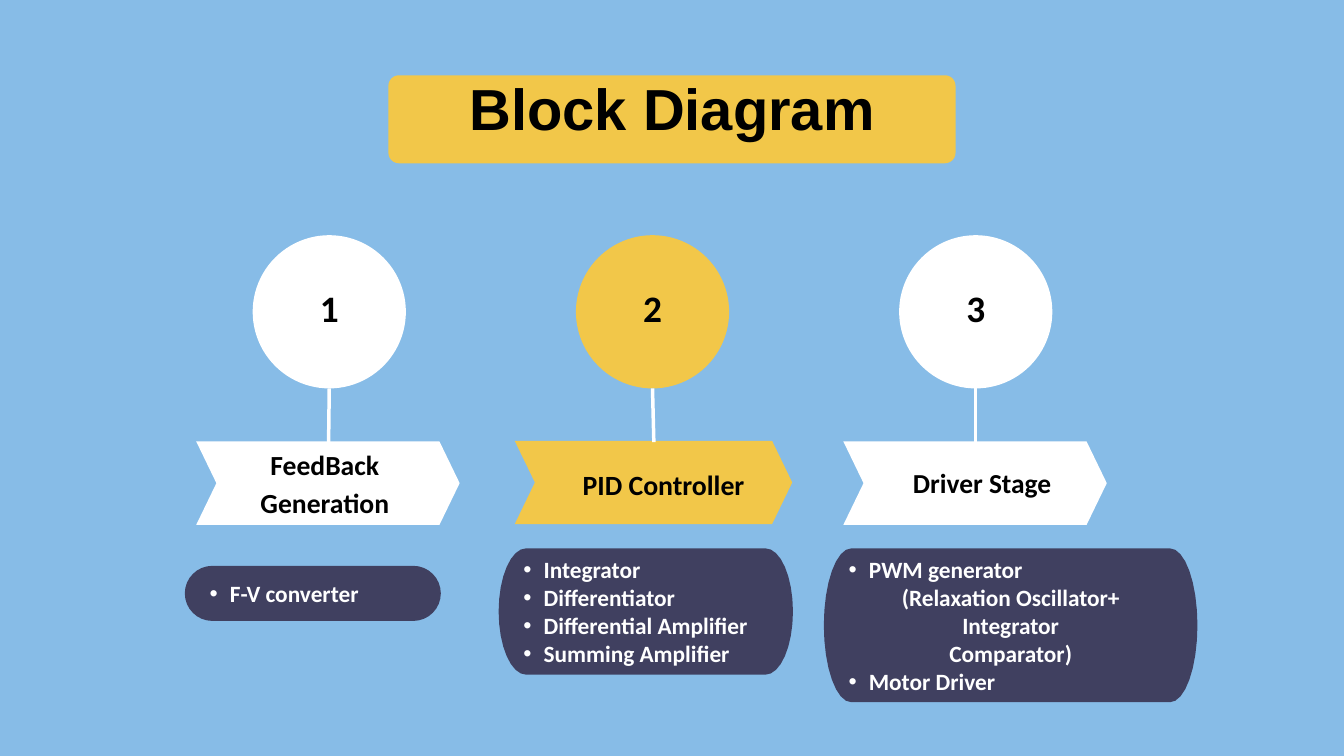
from dataclasses import dataclass
from math import cos, pi, sin

from lxml import etree
from pptx import Presentation
from pptx.dml.color import RGBColor
from pptx.enum.shapes import MSO_CONNECTOR, MSO_SHAPE
from pptx.enum.text import MSO_ANCHOR, MSO_AUTO_SIZE, PP_ALIGN
from pptx.oxml.ns import qn
from pptx.util import Inches, Pt

SKY = RGBColor(0x87, 0xBC, 0xE7)
GOLD = RGBColor(0xF2, 0xC7, 0x49)
NAVY = RGBColor(0x40, 0x40, 0x60)
WHITE = RGBColor(0xFF, 0xFF, 0xFF)
BLACK = RGBColor(0, 0, 0)

OVAL, ARROW = MSO_SHAPE.OVAL, MSO_SHAPE.CHEVRON
ROUND, LINE = MSO_SHAPE.ROUNDED_RECTANGLE, MSO_CONNECTOR.STRAIGHT
LEFT, CENTER = PP_ALIGN.LEFT, PP_ALIGN.CENTER
TOP, MIDDLE = MSO_ANCHOR.TOP, MSO_ANCHOR.MIDDLE

DISC, DISC_X, DISC_Y, PITCH = 2.28, 3.76, 3.5, 4.81
NOTCH, ARROW_H = 0.3, 1.24
CURVE, ARC = 0.41, 16  # end radius of a panel, segments per half ellipse


@dataclass
class Box:
    x: float
    y: float
    w: float
    h: float

    def emu(self) -> list:
        return [Inches(v) for v in (self.x, self.y, self.w, self.h)]


@dataclass
class Item:
    text: str
    dot: bool = True


@dataclass
class Step:
    fill: RGBColor
    arrow: Box
    foot: float
    label: list
    place: Box
    size: float
    pitch: float
    panel: Box
    items: list


STEPS = [
    Step(WHITE, Box(2.92, 6.57, 3.92, ARROW_H), 4.89,
         ["FeedBack", "Generation"], Box(2.92, 6.58, 3.83, 1.13), 29.6, 41.4,
         Box(2.75, 8.42, 3.81, 0.82), [Item("F-V converter")]),
    Step(GOLD, Box(7.66, 6.56, 4.13, ARROW_H), 9.73,
         ["PID Controller"], Box(7.96, 6.87, 3.83, 0.56), 29.8, 41.7,
         Box(7.42, 8.16, 4.38, 1.88),
         [Item("Integrator"), Item("Differentiator"),
          Item("Differential Amplifier"), Item("Summing Amplifier")]),
    Step(WHITE, Box(12.55, 6.57, 3.92, ARROW_H), 14.52,
         ["Driver Stage"], Box(12.7, 6.85, 3.83, 0.57), 29.4, 41.2,
         Box(12.26, 8.16, 5.56, 2.29),
         [Item("PWM generator"), Item("(Relaxation Oscillator+", False),
          Item("Integrator", False), Item("Comparator)", False),
          Item("Motor Driver")]),
]


def paint(shape, fill: RGBColor) -> None:
    shape.fill.solid()
    shape.fill.fore_color.rgb = fill
    shape.line.fill.background()
    shape.shadow.inherit = False


def add_form(slide, kind, box: Box, fill: RGBColor):
    shape = slide.shapes.add_shape(kind, *box.emu())
    paint(shape, fill)
    return shape


def add_dot(para) -> None:
    para.level = 1
    props = para._p.get_or_add_pPr()
    props.set("marL", str(Inches(0.59)))
    props.set("indent", str(Inches(-0.3)))
    etree.SubElement(props, qn("a:buFont")).set("typeface", "Arial")
    etree.SubElement(props, qn("a:buChar")).set("char", "•")


def write(shape, items: list, size: float, pitch: float, color: RGBColor = BLACK,
          face: str = "Calibri", pad: float = 0, anchor=TOP) -> None:
    frame = shape.text_frame
    frame.word_wrap = True
    frame.auto_size = MSO_AUTO_SIZE.NONE
    frame.vertical_anchor = anchor
    frame.margin_left = frame.margin_right = Inches(pad)
    frame.margin_top = frame.margin_bottom = Inches(pad)
    for i, item in enumerate(items):
        para = frame.add_paragraph() if i else frame.paragraphs[0]
        para.text = item.text
        if item.dot:
            add_dot(para)
        para.alignment = LEFT if item.dot else CENTER
        para.line_spacing = Pt(pitch)
        para.space_before = Pt(0)
        font = para.font
        font.name, font.size, font.bold = face, Pt(size), True
        font.color.rgb = color


def add_panel(slide, box: Box):
    """Draw a panel whose left and right ends are half ellipses."""
    turns = [pi * k / ARC - pi / 2 for k in range(ARC + 1)]
    ends = [(box.x + box.w - CURVE, 0), (box.x + CURVE, pi)]
    mid = box.y + box.h / 2
    dots = [(Inches(x + CURVE * cos(t + add)),
             Inches(mid + box.h / 2 * sin(t + add)))
            for x, add in ends for t in turns]
    pen = slide.shapes.build_freeform(*dots[0])
    pen.add_line_segments(dots[1:], close=True)
    shape = pen.convert_to_shape()
    paint(shape, NAVY)
    return shape


def add_stem(slide, x: float, foot: float) -> None:
    ends = [Inches(v) for v in (x, DISC_Y + DISC, foot, 6.58)]
    stem = slide.shapes.add_connector(LINE, *ends)
    stem.line.color.rgb = WHITE
    stem.line.width = Pt(3.75)
    etree.SubElement(stem.element.spPr, qn("a:effectLst"))


def add_step(slide, i: int, step: Step) -> None:
    # Arrow, numbered disc and the stem between them
    arrow = add_form(slide, ARROW, step.arrow, step.fill)
    arrow.adjustments[0] = NOTCH / ARROW_H
    x = DISC_X + i * PITCH
    disc = add_form(slide, OVAL, Box(x, DISC_Y, DISC, DISC), step.fill)
    write(disc, [Item(str(i + 1), False)], 40, 56, pad=0.06, anchor=MIDDLE)
    disc.text_frame.margin_bottom = Inches(0.29)
    add_stem(slide, x + DISC / 2, step.foot)

    # Caption on the arrow
    label = slide.shapes.add_textbox(*step.place.emu())
    write(label, [Item(t, False) for t in step.label], step.size, step.pitch)

    # Panel with the parts of the stage
    panel = add_panel(slide, step.panel)
    write(panel, step.items, 25, 30, WHITE, pad=0.08, anchor=MIDDLE)


def add_title(slide) -> None:
    title = slide.shapes.title
    title.left, title.top, title.width, title.height = Box(5.89, 0.99, 8.23, 1.3).emu()
    write(title, [Item("Block Diagram", False)], 62, 81.2, face="Arial")
    banner = add_form(slide, ROUND, Box(5.78, 1.12, 8.44, 1.31), GOLD)
    banner.adjustments[0] = 0.12
    title.element.addprevious(banner.element)  # banner goes behind the title


def main() -> None:
    deck = Presentation()
    deck.slide_width, deck.slide_height = Inches(20), Inches(11.25)
    slide = deck.slides.add_slide(deck.slide_layouts[5])
    slide.background.fill.solid()
    slide.background.fill.fore_color.rgb = SKY
    add_title(slide)
    for i, step in enumerate(STEPS):
        add_step(slide, i, step)
    deck.save("out.pptx")


if __name__ == "__main__":
    main()
